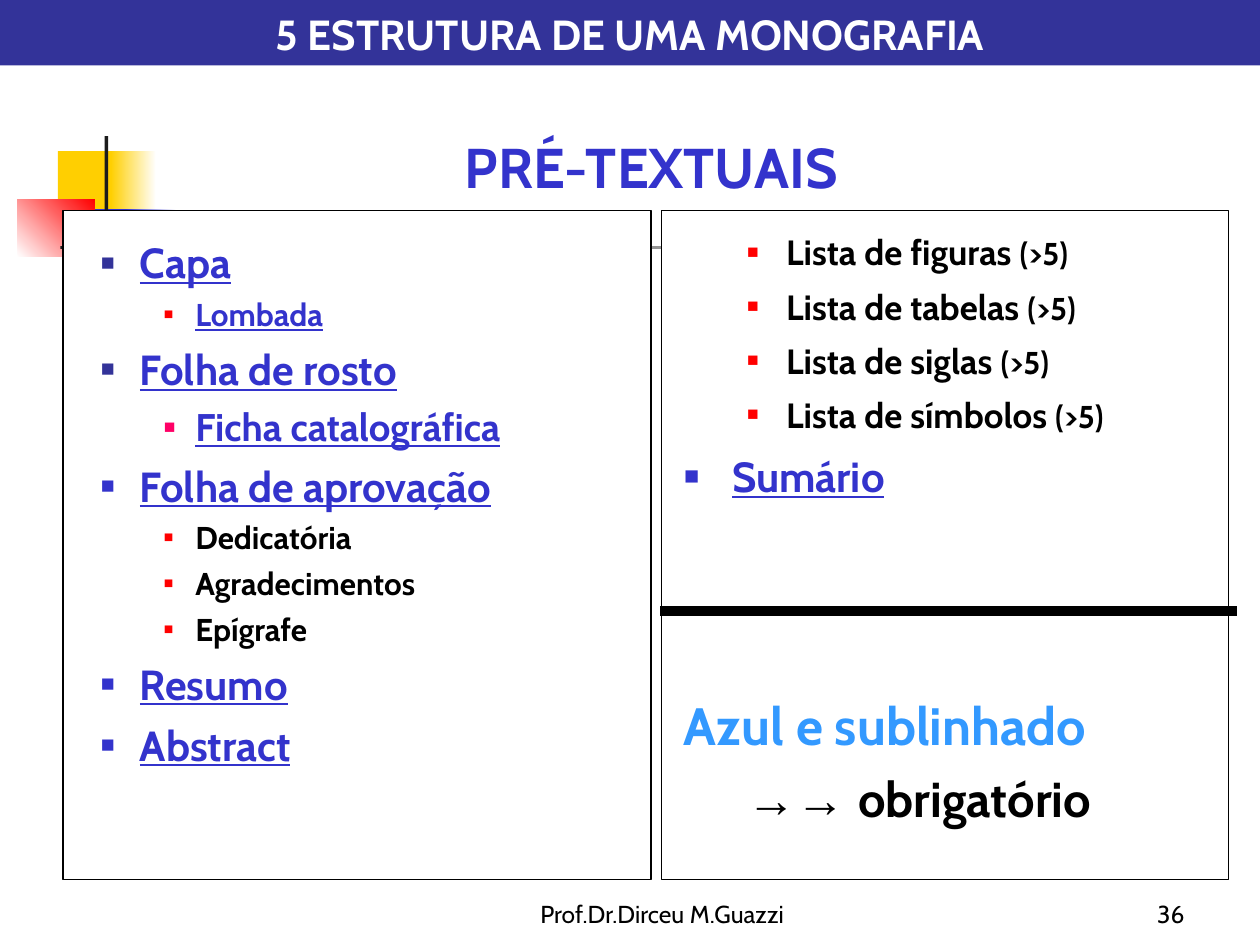
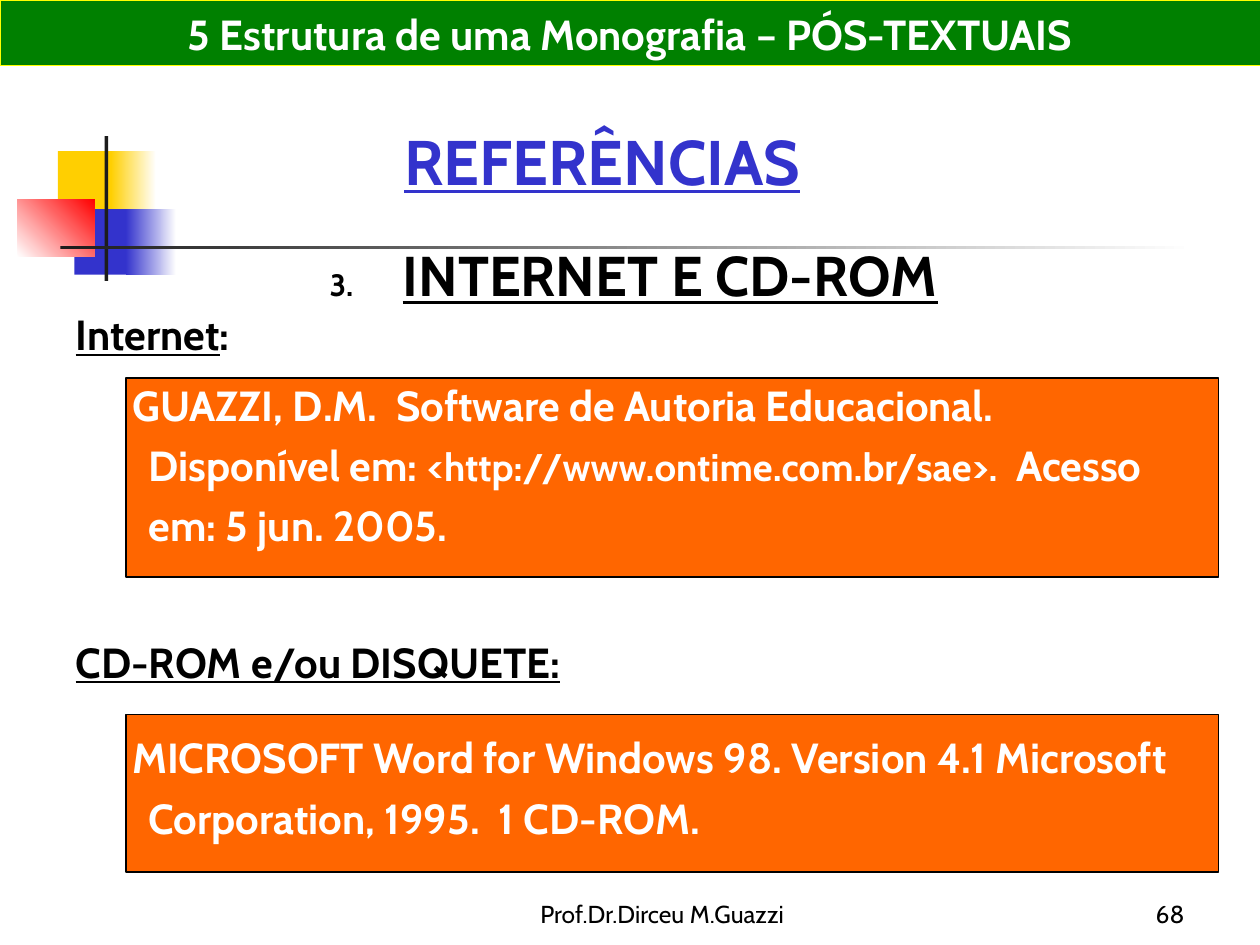
from lxml.etree import SubElement
from pptx import Presentation
from pptx.dml.color import RGBColor
from pptx.enum.shapes import MSO_CONNECTOR, MSO_SHAPE
from pptx.enum.text import MSO_ANCHOR, MSO_AUTO_SIZE, PP_ALIGN
from pptx.oxml.ns import qn
from pptx.util import Inches, Pt

BLACK = RGBColor(0x00, 0x00, 0x00)
WHITE = RGBColor(0xFF, 0xFF, 0xFF)
INK = RGBColor(0x1C, 0x1C, 0x1C)
BLUE = RGBColor(0x33, 0x33, 0xCC)
NAVY = RGBColor(0x33, 0x33, 0x99)
SKY = RGBColor(0x33, 0x99, 0xFF)
GOLD = RGBColor(0xFF, 0xCF, 0x01)
YELLOW = RGBColor(0xFF, 0xFF, 0x00)
RED = RGBColor(0xFF, 0x00, 0x00)
PINK = RGBColor(0xFF, 0x00, 0x66)
GREEN = RGBColor(0x00, 0x80, 0x00)
ORANGE = RGBColor(0xFF, 0x66, 0x00)

FONT = "Cabin"
FOOTER = "Prof.Dr.Dirceu M.Guazzi"
LEFT, CENTER, RIGHT = PP_ALIGN.LEFT, PP_ALIGN.CENTER, PP_ALIGN.RIGHT
TOP, BOTTOM = MSO_ANCHOR.TOP, MSO_ANCHOR.BOTTOM


class Deck:
    def __init__(self):
        self.show = Presentation()
        self.show.slide_width = Inches(10)
        self.show.slide_height = Inches(7.5)
        self.slide = None

    def start(self, layout, number):
        self.slide = self.show.slides.add_slide(self.show.slide_layouts[layout])
        self.motif()
        self.label((3.67, 6.92, 3.17, 0.5), FOOTER, 14, BLACK, CENTER)
        self.label((7.42, 6.92, 2.08, 0.5), number, 14, BLACK, RIGHT)

    def motif(self):
        self.block((0.46, 1.2, 0.48, 0.52), GOLD)
        self.fade((0.88, 1.2, 0.36, 0.52), GOLD, WHITE)
        self.block((0.59, 1.66, 0.46, 0.52), BLUE)
        self.fade((1, 1.66, 0.4, 0.52), BLUE, WHITE)
        self.fade((0.14, 1.58, 0.61, 0.46), WHITE, RED, 45)
        self.block((0.83, 1.08, 0.03, 1.15), INK)
        self.fade((0.48, 1.95, 9, 0.03), INK, WHITE)

    def block(self, box, fill, edge=None, width=1):
        shape = self.slide.shapes.add_shape(MSO_SHAPE.RECTANGLE, *map(Inches, box))
        shape.shadow.inherit = False
        self.paint(shape, fill, edge, width)
        return shape

    def paint(self, shape, fill, edge=None, width=1):
        shape.fill.solid()
        shape.fill.fore_color.rgb = fill
        if edge is None:
            shape.line.fill.background()
        else:
            shape.line.color.rgb = edge
            shape.line.width = Pt(width)

    def fade(self, box, first, last, angle=0):
        fill = self.block(box, first).fill
        fill.gradient()
        fill.gradient_angle = angle
        for stop, color in zip(fill.gradient_stops, (first, last)):
            stop.color.rgb = color

    def rule(self, x1, x2, y, width):
        line = self.slide.shapes.add_connector(
            MSO_CONNECTOR.STRAIGHT, Inches(x1), Inches(y), Inches(x2), Inches(y))
        line.line.color.rgb = BLACK
        line.line.width = Pt(width)
        SubElement(line._element.spPr, qn("a:effectLst"))

    def holder(self, index, box, anchor=TOP):
        shape = self.slide.placeholders[index]
        shape.left, shape.top, shape.width, shape.height = map(Inches, box)
        self.slide.shapes._spTree.append(shape._element)
        self.frame(shape, anchor)
        return shape

    def frame(self, shape, anchor):
        frame = shape.text_frame
        frame.word_wrap = True
        frame.auto_size = MSO_AUTO_SIZE.NONE
        frame.vertical_anchor = anchor
        return frame

    def text(self, box, anchor=TOP):
        return self.frame(self.slide.shapes.add_textbox(*map(Inches, box)), anchor)

    def label(self, box, words, size, color, align, bold=False, anchor=BOTTOM):
        frame = self.text(box, anchor)
        self.para(frame, [(words, size, color, {"bold": bold})], align=align)

    def band(self, words, fill, edge=None):
        shape = self.holder(0, (0, 0, 10, 0.52), BOTTOM)
        self.paint(shape, fill, edge, 0.5)
        self.para(shape.text_frame, [(words, 24, WHITE)], align=CENTER)

    def para(self, frame, runs, align=LEFT, level=0, indent=(0, 0),
             before=0, lines=1.0, mark=None):
        fresh = not frame.text
        para = frame.paragraphs[0] if fresh else frame.add_paragraph()
        para.alignment = align
        para.level = level
        para.line_spacing = lines
        para.space_before = Pt(0 if fresh else before)
        props = para._p.get_or_add_pPr()
        props.set("marL", str(Inches(indent[0])))
        props.set("indent", str(Inches(indent[1])))
        self.bullet(props, mark)
        for words, size, color, *extra in runs:
            self.run(para, words, size, color, **(extra[0] if extra else {}))

    def bullet(self, props, mark):
        if mark is None:
            SubElement(props, qn("a:buNone"))
            return
        sign, color, size = mark
        tint = SubElement(props, qn("a:buClr"))
        SubElement(tint, qn("a:srgbClr"), val=str(color))
        SubElement(props, qn("a:buSzPct"), val=str(size * 1000))
        if isinstance(sign, int):
            SubElement(props, qn("a:buFont"), typeface=FONT)
            SubElement(props, qn("a:buAutoNum"), type="arabicPeriod", startAt=str(sign))
        else:
            SubElement(props, qn("a:buFont"), typeface="Arial")
            SubElement(props, qn("a:buChar"), char=sign)

    def run(self, para, words, size, color, bold=True, under=False, font=FONT):
        run = para.add_run()
        run.text = words
        run.font.name = font
        run.font.size = Pt(size)
        run.font.bold = bold
        run.font.underline = under
        run.font.color.rgb = color


LINE = {"under": True}
PARTS = [
    ("Capa", 0, 24, NAVY, True),
    ("Lombada", 1, 18, RED, True),
    ("Folha de rosto", 0, 24, NAVY, True),
    ("Ficha catalográfica", 1, 22, PINK, True),
    ("Folha de aprovação", 0, 24, BLUE, True),
    ("Dedicatória", 1, 18, RED, False),
    ("Agradecimentos", 1, 18, RED, False),
    ("Epígrafe", 1, 18, RED, False),
    ("Resumo", 0, 24, BLUE, True),
    ("Abstract", 0, 24, BLUE, True),
]
INDENTS = [(0.81, -0.31), (1.25, -0.25)]


def front(deck):
    deck.start(3, "36")
    deck.block((5.25, 1.67, 4.5, 5.31), WHITE, BLACK)
    deck.block((0.5, 1.67, 4.67, 5.31), WHITE, BLACK)
    deck.band("5 ESTRUTURA DE UMA MONOGRAFIA", NAVY)

    parts = deck.holder(1, (0.2, 1.83, 4.76, 5.25)).text_frame
    for words, depth, size, tint, must in PARTS:
        deck.para(parts, [(words, size, BLUE if must else BLACK, {"under": must})],
                  level=depth + 1, indent=INDENTS[depth], before=size / 4,
                  mark=("■", tint, 50 if depth else 55))

    lists = deck.holder(2, (5.33, 1.75, 4.67, 3)).text_frame
    for kind in ("figuras", "tabelas", "siglas", "símbolos"):
        deck.para(lists, [(f"Lista de {kind} ", 20, BLACK), ("(>5)", 18, BLACK)],
                  level=1, indent=INDENTS[0], before=4.5, lines=1.1,
                  mark=("■", RED, 55))
    deck.para(lists, [("Sumário", 24, BLUE, LINE)], indent=(0.38, -0.38),
              before=6, lines=1.1, mark=("■", BLUE, 60))

    key = deck.text((5.33, 5.45, 4.4, 1.4))
    deck.para(key, [("Azul e sublinhado", 30, SKY)])
    deck.para(key, [("→→ ", 28, BLACK, {"bold": False, "font": "Arial"}),
                    ("obrigatório", 28, BLACK)], indent=(0.5, 0), before=7)

    deck.label((1.67, 1, 7, 0.64), "PRÉ-TEXTUAIS", 32, BLUE, CENTER, True, TOP)
    deck.rule(5.24, 9.82, 4.85, 6)


def sources(deck):
    deck.start(1, "68")
    for top, height in ((5.67, 1.25), (3, 1.58)):
        deck.block((1, top, 8.67, height), ORANGE, BLACK, 0.75)

    body = deck.holder(1, (0, 0.92, 9.56, 5.98)).text_frame
    head = {"level": 1, "indent": (0.5, 0)}
    cite = {"level": 1, "indent": (1.08, -0.13), "lines": 1.2}
    deck.para(body, [("REFERÊNCIAS", 36, BLUE, LINE)], align=CENTER)
    deck.para(body, [("INTERNET E CD-ROM", 32, BLACK, LINE)], align=CENTER, level=1,
              indent=(1.08, -0.58), before=32, lines=0.8, mark=(3, BLACK, 55))
    deck.para(body, [("Internet", 24, BLACK, LINE), (":", 24, BLACK)],
              before=6, lines=0.8, **head)
    deck.para(body, [
        ("GUAZZI, D.M.  Software de Autoria Educacional. Disponível em: ", 24, WHITE),
        ("<http://www.ontime.com.br/sae>.", 22, WHITE),
        ("  Acesso em: 5 jun. 2005.", 24, WHITE),
    ], before=6, **cite)
    deck.para(body, [("CD-ROM e/ou DISQUETE:", 24, BLACK, LINE)], before=49, **head)
    deck.para(body, [
        ("MICROSOFT Word for Windows 98. Version 4.1 Microsoft Corporation, 1995."
         "  1 CD-ROM.", 24, WHITE),
    ], before=20, **cite)
    deck.band("5 Estrutura de uma Monografia – PÓS-TEXTUAIS", GREEN, YELLOW)


def main():
    deck = Deck()
    front(deck)
    sources(deck)
    deck.show.save("out.pptx")


if __name__ == "__main__":
    main()
